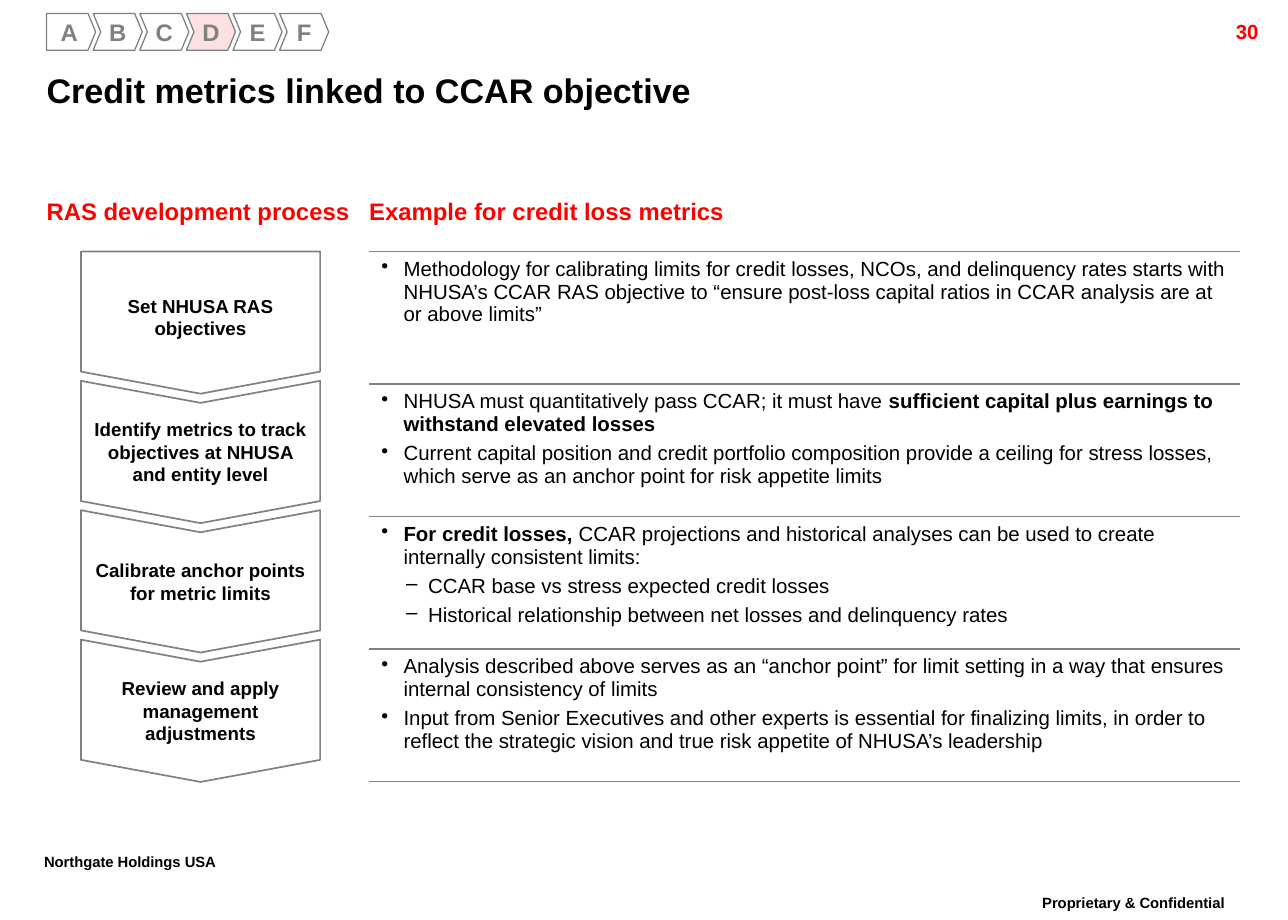
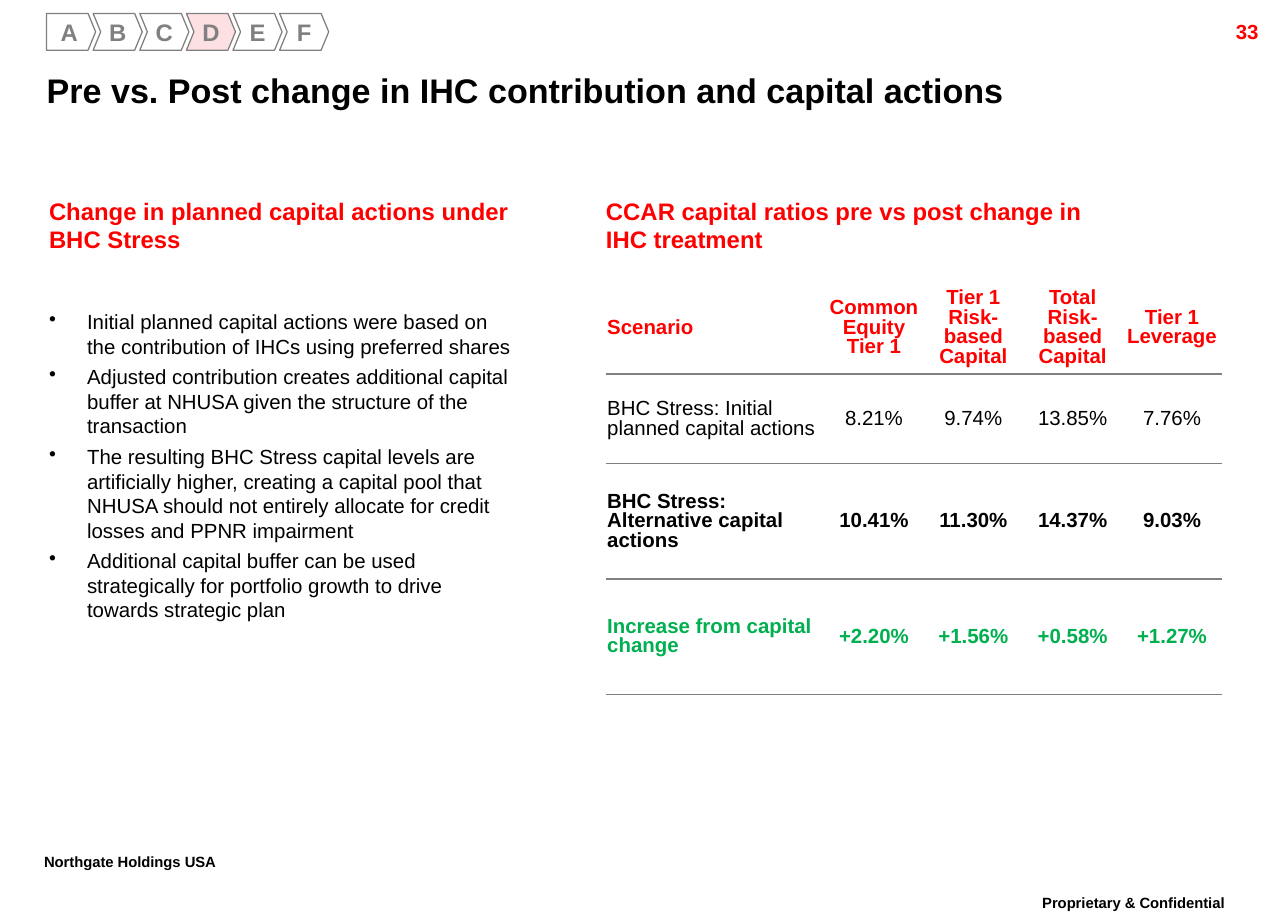
from dataclasses import dataclass

from lxml import etree
from pptx import Presentation
from pptx.dml.color import RGBColor
from pptx.enum import shapes, text
from pptx.oxml import ns
from pptx.util import Inches, Pt

MSO = shapes.MSO_SHAPE
ALIGN = text.PP_ALIGN
MIDDLE = text.MSO_ANCHOR.MIDDLE


@dataclass(frozen=True)
class Theme:
    font: str = "Arial"
    black: str = "000000"
    white: str = "FFFFFF"
    red: str = "FF0000"
    gray: str = "808080"
    pink: str = "FCE0E2"
    green: str = "00B050"
    title: int = 20
    heading: int = 14
    body: int = 12
    step: int = 11
    footer: int = 15


T = Theme()

PROCESS = [
    ("Set NHUSA RAS objectives", [
        (0, "Methodology for calibrating limits for credit losses, NCOs, and delinquency rates starts with "
            "NHUSA’s CCAR RAS objective to “ensure post-loss capital ratios in CCAR analysis are at or above limits”"),
    ]),
    ("Identify metrics to track objectives at NHUSA and entity level", [
        (0, "NHUSA must quantitatively pass CCAR; it must have "
            "**sufficient capital plus earnings to withstand elevated losses**"),
        (0, "Current capital position and credit portfolio composition provide a ceiling for stress losses, "
            "which serve as an anchor point for risk appetite limits"),
    ]),
    ("Calibrate anchor points for metric limits", [
        (0, "**For credit losses,** CCAR projections and historical analyses can be used to create "
            "internally consistent limits:"),
        (1, "CCAR base vs stress expected credit losses"),
        (1, "Historical relationship between net losses and delinquency rates"),
    ]),
    ("Review and apply management adjustments", [
        (0, "Analysis described above serves as an “anchor point” for limit setting in a way that ensures "
            "internal consistency of limits"),
        (0, "Input from Senior Executives and other experts is essential for finalizing limits, in order to "
            "reflect the strategic vision and true risk appetite of NHUSA’s leadership"),
    ]),
]

CAPITAL_ACTIONS = [
    (0, "Initial planned capital actions were based on the contribution of IHCs using preferred shares"),
    (0, "Adjusted contribution creates additional capital buffer at NHUSA given the structure of the transaction"),
    (0, "The resulting BHC Stress capital levels are artificially higher, creating a capital pool that "
        "NHUSA should not entirely allocate for credit losses and PPNR impairment"),
    (0, "Additional capital buffer can be used strategically for portfolio growth to drive towards strategic plan"),
]

RATIOS = [
    (0.76, T.red, True, ["Scenario", "Common Equity Tier 1", "Tier 1 Risk-based Capital",
                         "Total Risk-based Capital", "Tier 1 Leverage"]),
    (0.73, T.black, False, ["BHC Stress: Initial planned capital actions",
                            "8.21%", "9.74%", "13.85%", "7.76%"]),
    (0.94, T.black, True, ["BHC Stress: Alternative capital actions",
                           "10.41%", "11.30%", "14.37%", "9.03%"]),
    (0.94, T.green, True, ["Increase from capital change",
                           "+2.20%", "+1.56%", "+0.58%", "+1.27%"]),
]


def rgb(color):
    return RGBColor.from_string(color)


def add_text(p, content, size=T.body, color=T.black, bold=False, align=ALIGN.LEFT, spacing=None, baseline=None):
    p.alignment = align
    if spacing:
        p.line_spacing = spacing
    for i, part in enumerate(content.split("**")):
        if not part:
            continue
        r = p.add_run()
        r.text = part
        r.font.name = T.font
        r.font.size = Pt(size)
        r.font.bold = bold or i % 2 == 1
        r.font.color.rgb = rgb(color)
        if baseline:
            r.font._element.set("baseline", str(baseline))


def add_bullets(tf, items, indent):
    for i, (level, content) in enumerate(items):
        p = tf.paragraphs[0] if i == 0 else tf.add_paragraph()
        add_text(p, content)
        if i:
            p.space_before = Pt(3.6)
        pPr = p._p.get_or_add_pPr()
        pPr.set("marL", str(Inches(indent + 0.2 * level)))
        pPr.set("indent", str(-Inches(indent)))
        etree.SubElement(pPr, ns.qn("a:buChar")).set("char", "•–"[level])


def set_insets(tf, inset):
    tf.margin_left = tf.margin_right = tf.margin_top = tf.margin_bottom = Inches(inset)


def add_box(slide, x, y, w, h, content="", inset=0, anchor=text.MSO_ANCHOR.TOP, **fmt):
    sp = slide.shapes.add_textbox(Inches(x), Inches(y), Inches(w), Inches(h))
    tf = sp.text_frame
    tf.word_wrap = True
    tf.vertical_anchor = anchor
    set_insets(tf, inset)
    if content:
        add_text(tf.paragraphs[0], content, **fmt)
    return tf


def add_heading(slide, x, w, content):
    add_box(slide, x, 1.6, w, 0.47, content, size=T.heading, color=T.red, bold=True)


def add_arrow(slide, first, x, y, w, h, adj, content, fill=T.white, line=1, inset=0, **fmt):
    kind = MSO.PENTAGON if first else MSO.CHEVRON
    sp = slide.shapes.add_shape(kind, Inches(x), Inches(y), Inches(w), Inches(h))
    sp.adjustments[0] = adj
    sp.shadow.inherit = False
    sp.fill.solid()
    sp.fill.fore_color.rgb = rgb(fill)
    sp.line.color.rgb = rgb(T.gray)
    sp.line.width = Pt(line)
    tf = sp.text_frame
    tf.word_wrap = True
    tf.vertical_anchor = MIDDLE
    set_insets(tf, inset)
    add_text(tf.paragraphs[0], content, bold=True, align=ALIGN.CENTER, **fmt)
    return sp


def add_down_arrow(slide, first, x, y, w, h, content):
    offset = (w - h) / 2
    sp = add_arrow(slide, first, x + offset, y - offset, h, w, 0.155, content, inset=0.08, size=T.step)
    sp.rotation = 90
    sp.text_frame._txBody.bodyPr.set("vert", "vert270")


def add_tracker(slide, active):
    for i, letter in enumerate("ABCDEF"):
        add_arrow(slide, i == 0, 0.38 + 0.38 * i, 0.11, 0.4, 0.3, 0.206, letter,
                  fill=T.pink if letter == active else T.white, line=0.75,
                  size=T.heading, color=T.gray)


def set_borders(cell, top):
    tcPr = cell._tc.get_or_add_tcPr()
    for side, visible in (("L", False), ("R", False), ("T", top), ("B", True)):
        ln = etree.SubElement(tcPr, ns.qn("a:ln" + side), w=str(Pt(1)))
        if visible:
            solid = etree.SubElement(ln, ns.qn("a:solidFill"))
            etree.SubElement(solid, ns.qn("a:srgbClr"), val=T.gray)
        else:
            etree.SubElement(ln, ns.qn("a:noFill"))


def add_ruled_table(slide, x, y, widths, heights, top):
    frame = slide.shapes.add_table(len(heights), len(widths), Inches(x), Inches(y),
                                   Inches(sum(widths)), Inches(sum(heights)))
    table = frame.table
    table.first_row = table.horz_banding = False
    for col, w in zip(table.columns, widths):
        col.width = Inches(w)
    for i, (row, h) in enumerate(zip(table.rows, heights)):
        row.height = Inches(h)
        for cell in row.cells:
            set_borders(cell, top or i > 0)
            cell.fill.background()
    return table


def add_base_slide(prs, title, number):
    slide = prs.slides.add_slide(prs.slide_layouts[6])
    footer = dict(inset=0.05, size=T.footer, bold=True, spacing=0.86, baseline=30000)
    add_box(slide, 8.15, 7.25, 2.18, 0.35, "Proprietary & Confidential", align=ALIGN.CENTER, **footer)
    add_box(slide, 0.31, 6.91, 2, 0.35, "Northgate Holdings USA", **footer)
    add_box(slide, 9.31, 0.11, 1, 0.24, number, inset=0.05, color=T.red, bold=True, align=ALIGN.RIGHT)
    add_box(slide, 0.38, 0.49, 9.48, 0.48, title, anchor=MIDDLE, size=T.title, bold=True)
    add_tracker(slide, "D")
    return slide


def build_credit_metrics(prs):
    slide = add_base_slide(prs, "Credit metrics linked to CCAR objective", "30")
    add_heading(slide, 0.38, 2.6, "RAS development process")
    add_heading(slide, 3.01, 6, "Example for credit loss metrics")
    table = add_ruled_table(slide, 3.01, 2.05, [7.1], [1.08] * len(PROCESS), top=True)
    for i, (step, bullets) in enumerate(PROCESS):
        add_down_arrow(slide, i == 0, 0.66, 2.05 + 1.055 * i, 1.95, 1.16, step)
        add_bullets(table.cell(i, 0).text_frame, bullets, 0.18)


def build_capital_actions(prs):
    slide = add_base_slide(prs, "Pre vs. Post change in IHC contribution and capital actions", "33")
    add_heading(slide, 0.4, 4.03, "Change in planned capital actions under BHC Stress")
    add_heading(slide, 4.94, 4.18, "CCAR capital ratios pre vs post change in IHC treatment")
    add_bullets(add_box(slide, 0.4, 2.52, 3.82, 2.61), CAPITAL_ACTIONS, 0.31)
    heights = [row[0] for row in RATIOS]
    table = add_ruled_table(slide, 4.94, 2.29, [1.78] + [0.81] * 4, heights, top=False)
    for row, (_, color, bold, values) in zip(table.rows, RATIOS):
        for i, (cell, value) in enumerate(zip(row.cells, values)):
            cell.vertical_anchor = MIDDLE
            cell.margin_left = cell.margin_right = cell.margin_top = Inches(0.01)
            cell.margin_bottom = 0
            add_text(cell.text_frame.paragraphs[0], value, color=color, bold=bold, spacing=0.86,
                     align=ALIGN.CENTER if i else ALIGN.LEFT)


def main():
    prs = Presentation()
    prs.slide_width = Inches(10.5)
    prs.slide_height = Inches(7.5)
    build_credit_metrics(prs)
    build_capital_actions(prs)
    prs.save("out.pptx")


if __name__ == "__main__":
    main()
